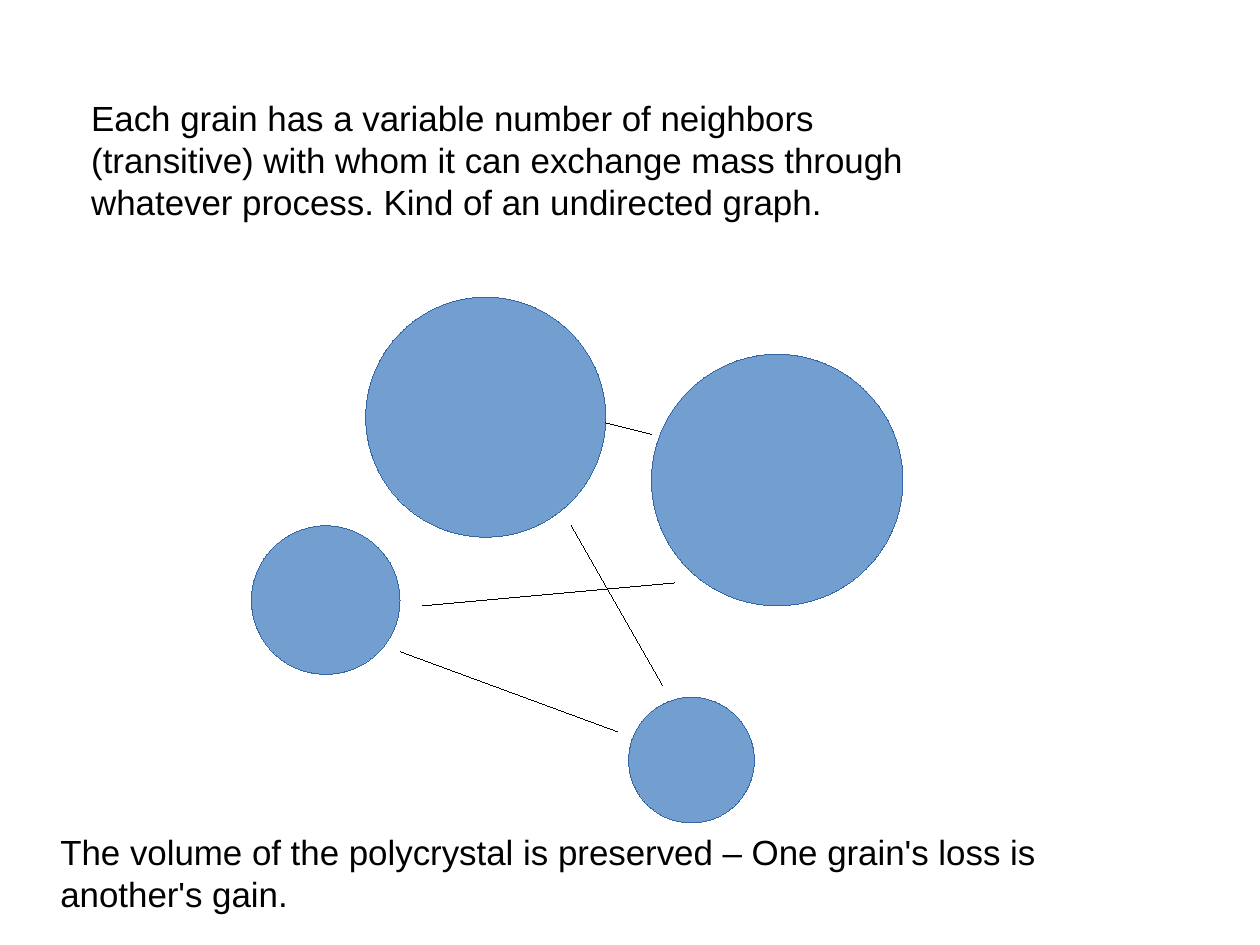
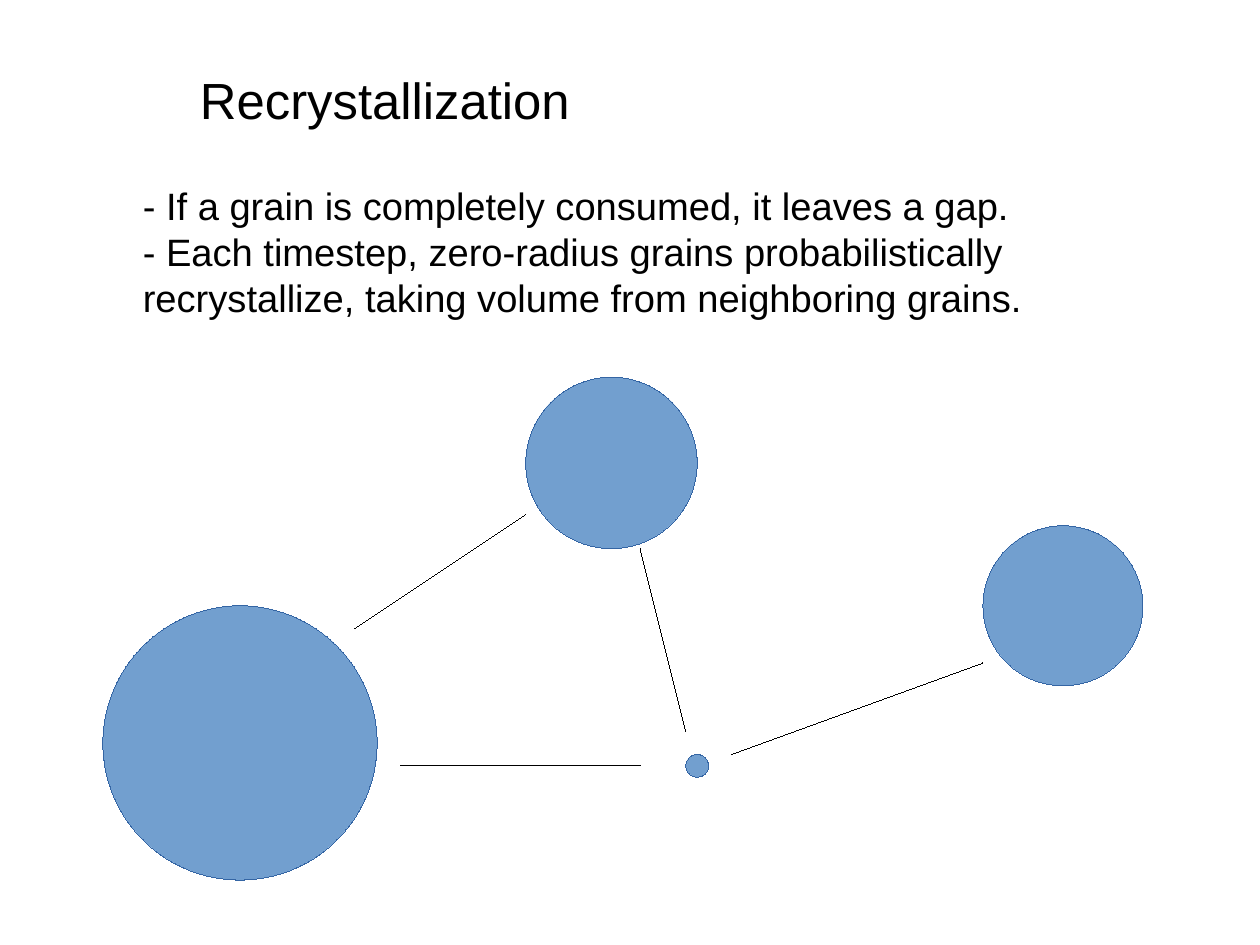
from dataclasses import dataclass

from lxml import etree
from pptx import Presentation
from pptx.dml.color import RGBColor
from pptx.enum import shapes, text
from pptx.oxml.ns import qn
from pptx.util import Inches, Pt


@dataclass(frozen=True)
class Theme:
    font: str = "Arial"
    ink: RGBColor = RGBColor(0x00, 0x00, 0x00)
    paper: RGBColor = RGBColor(0xFF, 0xFF, 0xFF)
    grain: RGBColor = RGBColor(0x72, 0x9F, 0xCF)
    rim: RGBColor = RGBColor(0x34, 0x65, 0xA4)
    title: int = 32
    body: int = 24
    note: int = 22
    hairline: int = 0


THEME = Theme()
CM_PER_INCH = 2.54
NARROW, WIDE = (0.1, 0.05), (0.15, 0.1)  # text margins: sides, top and bottom

# Content, back to front: grains are (left, top, diameter), links (x1, y1, x2, y2)
SLIDES = [
    {
        "grains": [(2.2, 4.6, 1.3), (5.5, 6.1, 1.1), (5.7, 3.1, 2.2), (3.2, 2.6, 2.1)],
        "links": [(3.5, 5.7, 5.4, 6.4), (5, 4.6, 5.8, 6),
                  (5.3, 3.7, 5.7, 3.8), (3.7, 5.3, 5.9, 5.1)],
        "texts": [
            ((0.7, 0.8, 7.9, 2), THEME.note, NARROW, True,
             ["Each grain has a variable number of neighbors (transitive) "
              "with whom it can exchange mass through whatever process. "
              "Kind of an undirected graph."]),
            ((0.43, 7.22, 9.37, 0.78), THEME.note, NARROW, True,
             ["The volume of the polycrystal is preserved – "
              "One grain's loss is another's gain."]),
        ],
    },
    {
        "texts": [
            ((1.6, 0.5, 3.54, 0.7), THEME.title, WIDE, False, ["Recrystallization"]),
            ((1.1, 1.5, 8.5, 2), THEME.body, WIDE, True,
             ["- If a grain is completely consumed, it leaves a gap.",
              "- Each timestep, zero-radius grains probabilistically "
              "recrystallize, taking volume from neighboring grains."]),
        ],
        "grains": [(0.9, 5.3, 2.4), (8.6, 4.6, 1.4), (4.6, 3.3, 1.5), (6, 6.6, 0.2)],
        "links": [(3.5, 6.7, 5.6, 6.7), (5.6, 4.8, 6, 6.4),
                  (6.4, 6.6, 8.6, 5.8), (3.1, 5.5, 4.6, 4.5)],
    },
]


def inches(*values):
    return [Inches(value) for value in values]


def add_text(page, at, size, margins, wrap, lines):
    frame = page.shapes.add_textbox(*inches(*at)).text_frame
    frame.word_wrap = wrap
    frame.auto_size = text.MSO_AUTO_SIZE.SHAPE_TO_FIT_TEXT
    frame.vertical_anchor = text.MSO_ANCHOR.TOP
    frame.margin_left = frame.margin_right = Inches(margins[0])
    frame.margin_top = frame.margin_bottom = Inches(margins[1])
    frame.text = "\n".join(lines)
    for para in frame.paragraphs:
        for span in para.runs:
            span.font.name = THEME.font
            span.font.size = Pt(size)
            span.font.color.rgb = THEME.ink


def style_line(shape, colour):
    shape.line.color.rgb = colour
    # A zero width must be written out, or the theme's width applies
    shape._element.spPr.find(qn("a:ln")).set("w", str(Pt(THEME.hairline)))


def add_grain(page, left, top, diameter):
    grain = page.shapes.add_shape(
        shapes.MSO_SHAPE.OVAL, *inches(left, top, diameter, diameter))
    grain.shadow.inherit = False
    grain.fill.solid()
    grain.fill.fore_color.rgb = THEME.grain
    style_line(grain, THEME.rim)


def add_link(page, *ends):
    link = page.shapes.add_connector(shapes.MSO_CONNECTOR.STRAIGHT, *inches(*ends))
    style_line(link, THEME.ink)
    etree.SubElement(link._element.spPr, qn("a:effectLst"))


ADDERS = {"texts": add_text, "grains": add_grain, "links": add_link}


def add_page(deck, content):
    page = deck.slides.add_slide(deck.slide_layouts[6])
    page.background.fill.solid()
    page.background.fill.fore_color.rgb = THEME.paper
    for kind, parts in content.items():
        for part in parts:
            ADDERS[kind](page, *part)


def main():
    deck = Presentation()
    # The page is 28 by 21 cm
    deck.slide_width = Inches(28 / CM_PER_INCH)
    deck.slide_height = Inches(21 / CM_PER_INCH)
    for content in SLIDES:
        add_page(deck, content)
    deck.save("out.pptx")


if __name__ == "__main__":
    main()
